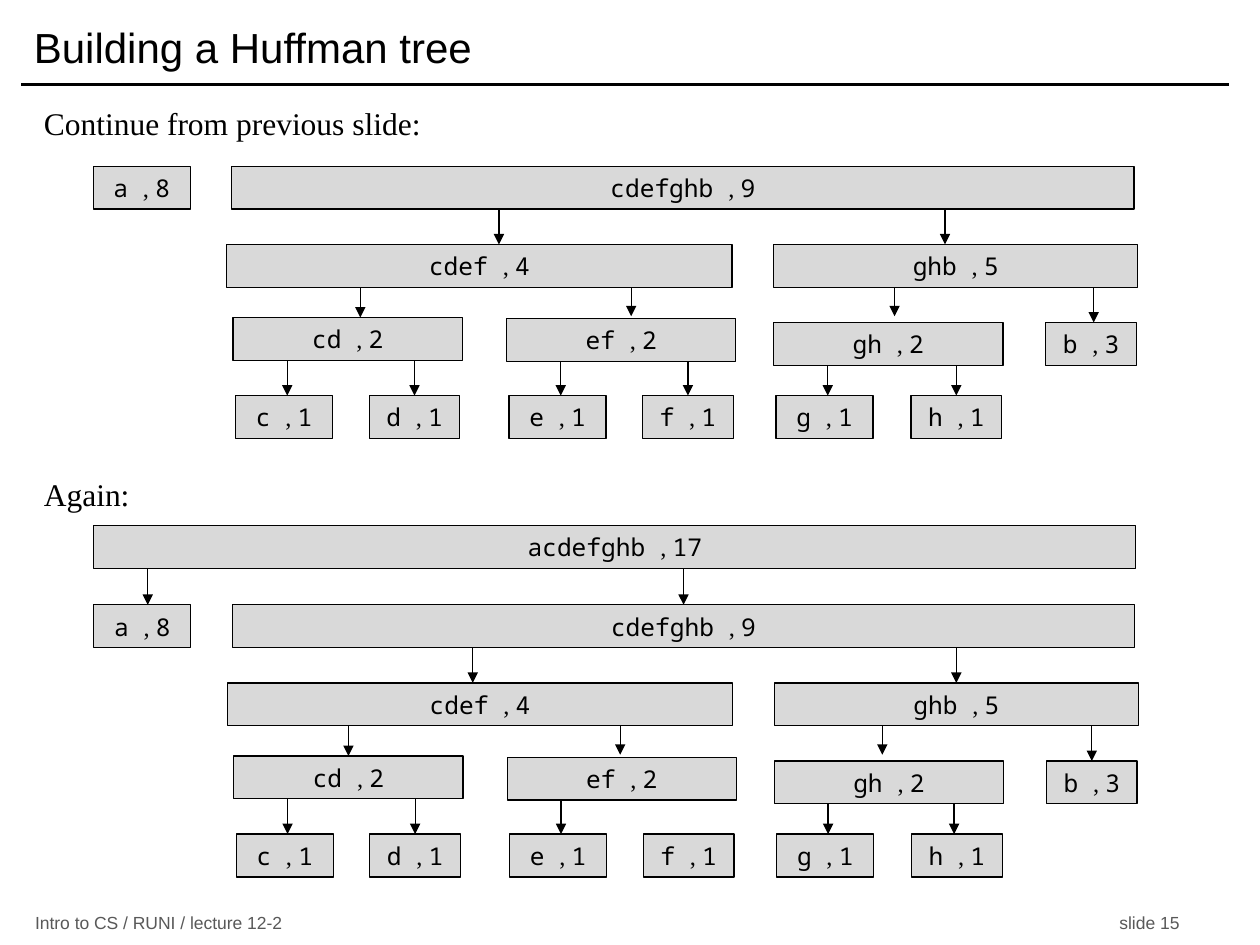
"""Build the slide that finishes a Huffman tree."""
import pptx
import pptx.dml.color
import pptx.enum.shapes
import pptx.enum.text
import pptx.oxml
import pptx.oxml.ns
import pptx.util

BLACK, GREY, PALE = "000000", "595959", "D9D9D9"
SANS, MONO, SERIF = "Arial", "Noto Sans Mono", "Times New Roman"
COLS = 100
WIDE, HIGH = pptx.util.Inches(10), pptx.util.Inches(7.5)
TALL, DROP, NEAR = 3.4, 3.7, 0.2

NODES = [
    ("c", 1, 18.7, 18.2, 7.7), ("d", 1, 29.3, 18.2, 7.2),
    ("e", 1, 40.4, 18.2, 7.7), ("f", 1, 51, 18.2, 7.2),
    ("g", 1, 61.6, 18.2, 7.7), ("h", 1, 72.3, 18.2, 7.2),
    ("cd", 2, 18.5, 12, 18.2), ("ef", 2, 40.2, 12.1, 18.2),
    ("gh", 2, 61.4, 12.4, 18.2), ("b", 3, 83, 12.4, 7.2),
    ("cdef", 4, 18, 6.2, 40.1), ("ghb", 5, 61.4, 6.2, 28.9),
    ("a", 8, 7.4, 0, 7.7), ("cdefghb", 9, 18.4, 0, 71.6),
]
CROWN = ("acdefghb", 17, 7.4, -6.3, 82.7)
LEAVES = {"c": 22.8, "d": 32.8, "e": 44.5, "g": 65.7, "h": 75.7, "b": 86.8}
FIRST = {**LEAVES, "f": 54.5, "cd": 28.6, "ef": 50.1, "gh": 71,
         "cdef": 39.6, "ghb": 75}
AGAIN = {**LEAVES, "cd": 27.5, "ef": 49.2, "gh": 70, "cdef": 37.5,
         "ghb": 75.8, "a": 11.7, "cdefghb": 54.2}
LIFT = {"ef": 0.2, "gh": 0.5}


def grid(*cells):
    """Turn grid cells, a hundred to the slide's width, into lengths."""
    return [int(WIDE * cell / COLS) for cell in cells]


def color(code):
    """Make a colour from a hex string."""
    return pptx.dml.color.RGBColor.from_string(code)


def write(shape, text, font=SANS, size=14, ink=BLACK, align="LEFT",
          anchor="MIDDLE", wrap=True):
    """Add a run of text to a shape's only paragraph."""
    frame = shape.text_frame
    frame.word_wrap = wrap
    frame.vertical_anchor = getattr(pptx.enum.text.MSO_ANCHOR, anchor)
    para = frame.paragraphs[0]
    para.alignment = getattr(pptx.enum.text.PP_ALIGN, align)
    run = para.add_run()
    run.text = text
    run.font.name = font
    run.font.size = pptx.util.Pt(size)
    run.font.color.rgb = color(ink)


def label(slide, place, text, **style):
    """Add a text box."""
    write(slide.shapes.add_textbox(*grid(*place)), text, **style)


def line(slide, start, end, width=0.75):
    """Add a black straight line without a shadow."""
    link = slide.shapes.add_connector(
        pptx.enum.shapes.MSO_CONNECTOR.STRAIGHT, *grid(*start, *end))
    link.line.color.rgb = color(BLACK)
    link.line.width = pptx.util.Pt(width)
    props = link._element.spPr
    props.append(props.makeelement(pptx.oxml.ns.qn("a:effectLst"), {}))
    return link


def arrow(slide, x, tip):
    """Add a downward arrow that ends at a tip."""
    link = line(slide, (x, tip - DROP), (x, tip))
    stroke = link.line._get_or_add_ln()
    stroke.append(stroke.makeelement(
        pptx.oxml.ns.qn("a:tailEnd"), {"type": "triangle"}))
    return link


def node(slide, name, count, x, y, width):
    """Add a box with its letters and their count."""
    box = slide.shapes.add_shape(
        pptx.enum.shapes.MSO_SHAPE.RECTANGLE, *grid(x, y, width, TALL))
    box.shadow.inherit = False
    box.fill.solid()
    box.fill.fore_color.rgb = color(PALE)
    box.line.color.rgb = color(BLACK)
    box.line.width = pptx.util.Pt(0.75)
    for text, font in ((name + " ", MONO), (", ", SERIF), (str(count), MONO)):
        write(box, text, font=font, align="CENTER")
    return box


def tree(slide, nodes, top, aims, shift=0):
    """Draw nodes from the leaves up, each with the arrow into it."""
    for name, count, x, y, width in nodes:
        x, y = x + shift, y + top
        box = node(slide, name, count, x, y, width)
        if name in aims:
            lift = LIFT.get(name, 0)
            aim, mid = aims[name] + shift / 2, x + width / 2
            joined = not lift and abs(aim - mid) <= NEAR
            link = arrow(slide, mid if joined else aim, y - lift)
            if joined:
                link.end_connect(box, 0)


def main():
    """Build and save the slide."""
    deck = pptx.Presentation()
    deck.slide_width, deck.slide_height = WIDE, HIGH
    slide = deck.slides.add_slide(deck.slide_layouts[6])
    line(slide, (1.7, 6.7), (97.5, 6.7), width=2)
    label(slide, (1.7, 0.8, 95.8, 5.8), "Building a Huffman tree", size=24)
    foot = {"size": 10, "ink": GREY, "wrap": False}
    label(slide, (1.8, 72.3, 30, 1.9), "Intro to CS / RUNI / lecture 12-2",
          **foot)
    label(slide, (84.6, 72.3, 10, 1.9), "slide 15", align="RIGHT", **foot)
    for top, text in ((7.8, "Continue from previous slide:"),
                      (37.2, "Again:")):
        label(slide, (2.5, top, 87.6, 4), text, font=SERIF, size=18,
              anchor="TOP")
    tree(slide, NODES, 13.2, FIRST)
    tree(slide, NODES + [CROWN], 48, AGAIN, shift=0.05)
    deck.save("out.pptx")


if __name__ == "__main__":
    main()
